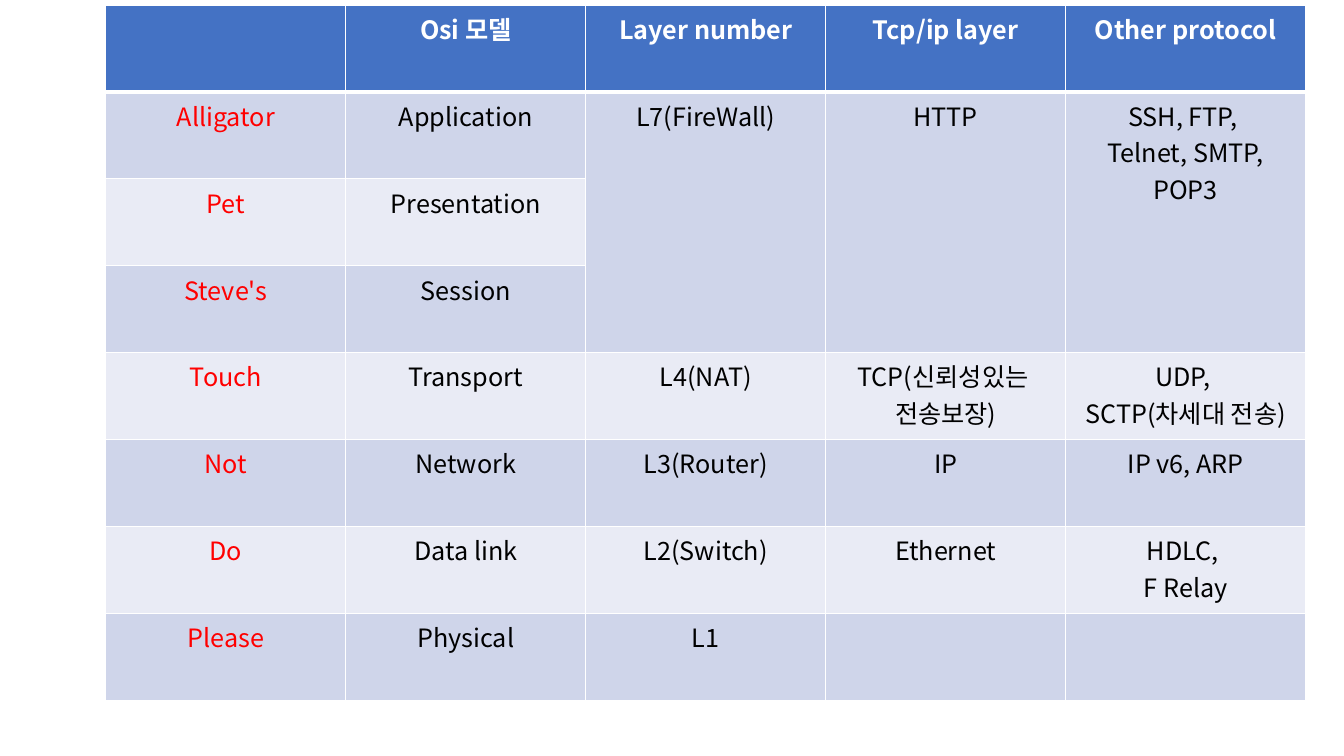
from lxml.etree import SubElement
from pptx import Presentation
from pptx.dml.color import RGBColor
from pptx.enum.text import PP_ALIGN
from pptx.oxml.ns import qn
from pptx.util import Inches, Pt

FONT = "Noto Sans CJK KR"
COLORS = {
    "header": "4472C4",
    "odd": "CFD5EA",
    "even": "E9EBF5",
    "border": "FFFFFF",
    "header_text": "FFFFFF",
    "mnemonic": "FF0000",
    "text": "000000",
}
ROWS = [
    ["", "Osi 모델", "Layer number", "Tcp/ip layer", "Other protocol"],
    ["Alligator", "Application", "L7(FireWall)", "HTTP", "SSH, FTP, \nTelnet, SMTP, POP3"],
    ["Pet", "Presentation", "", "", ""],
    ["Steve's", "Session", "", "", ""],
    ["Touch", "Transport", "L4(NAT)", "TCP(신뢰성있는 \n전송보장)", "UDP, \nSCTP(차세대 전송)"],
    ["Not", "Network", "L3(Router)", "IP", "IP v6, ARP"],
    ["Do", "Data link", "L2(Switch)", "Ethernet", "HDLC, \nF Relay"],
    ["Please", "Physical", "L1", "", ""],
]
MERGED_COLUMNS = (2, 3, 4)
MERGED_ROWS = (1, 3)


def set_borders(cell, row):
    tcPr = cell._tc.get_or_add_tcPr()
    widths = {"lnL": 1, "lnR": 1, "lnT": 3 if row == 1 else 1, "lnB": 3 if row == 0 else 1}
    for side, width in widths.items():
        ln = SubElement(tcPr, qn(f"a:{side}"), w=str(Pt(width)))
        fill = SubElement(ln, qn("a:solidFill"))
        SubElement(fill, qn("a:srgbClr"), val=COLORS["border"])


def write_text(cell, text, color, bold):
    tf = cell.text_frame
    for i, line in enumerate(text.split("\n")):
        p = tf.paragraphs[0] if i == 0 else tf.add_paragraph()
        p.alignment = PP_ALIGN.CENTER
        if not line:
            continue
        r = p.add_run()
        r.text = line
        for name, value in {"name": FONT, "size": Pt(18), "bold": bold}.items():
            setattr(r.font, name, value)
        r.font.color.rgb = RGBColor.from_string(COLORS[color])
        SubElement(r.font._element, qn("a:ea"), typeface=FONT)


def format_cell(cell, row, col, text):
    set_borders(cell, row)
    band = "header" if row == 0 else "odd" if row % 2 else "even"
    cell.fill.solid()
    cell.fill.fore_color.rgb = RGBColor.from_string(COLORS[band])
    color = "header_text" if row == 0 else "mnemonic" if col == 0 else "text"
    write_text(cell, text, color, row == 0)


def add_layer_table(s):
    table = s.shapes.add_table(
        len(ROWS), len(ROWS[0]), Inches(1.05), Inches(0.05), Inches(11.9), Inches(6.9)
    ).table
    for row, texts in enumerate(ROWS):
        for col, text in enumerate(texts):
            format_cell(table.cell(row, col), row, col, text)
    first, last = MERGED_ROWS
    for col in MERGED_COLUMNS:
        table.cell(first, col).merge(table.cell(last, col))


def main():
    prs = Presentation()
    prs.slide_width, prs.slide_height = Inches(13.33), Inches(7.5)
    s = prs.slides.add_slide(prs.slide_layouts[6])
    add_layer_table(s)
    prs.save("out.pptx")


if __name__ == "__main__":
    main()
